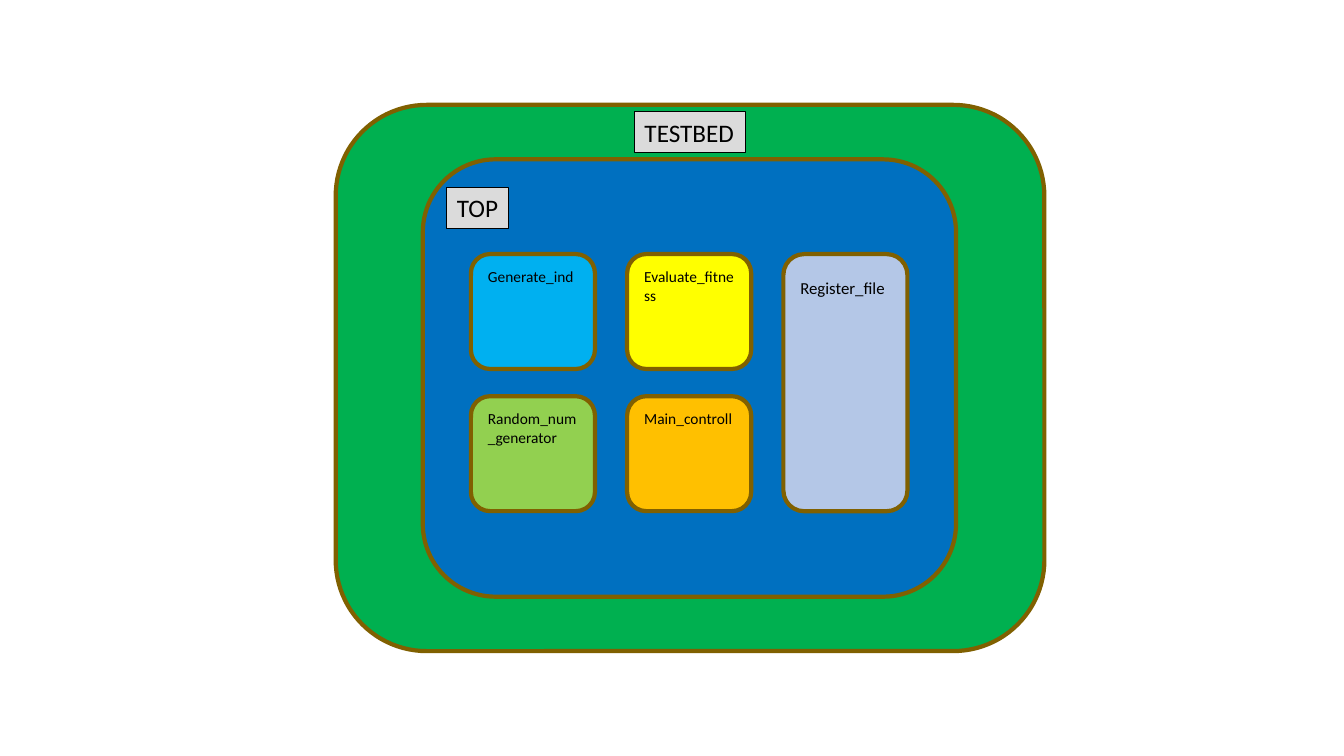
from pptx import Presentation
from pptx.dml.color import RGBColor
from pptx.enum.shapes import MSO_SHAPE
from pptx.enum.text import MSO_ANCHOR, MSO_AUTO_SIZE, PP_ALIGN
from pptx.util import Pt

RECT = MSO_SHAPE.RECTANGLE
ROUNDED = MSO_SHAPE.ROUNDED_RECTANGLE
TOP_ANCHOR = MSO_ANCHOR.TOP
FIT_SHAPE = MSO_AUTO_SIZE.SHAPE_TO_FIT_TEXT
LEFT = PP_ALIGN.LEFT

BORDER = "806000"
BLACK = "000000"
LABEL_GREY = "DBDBDB"

# Module grid inside the TOP block
MODULE_W, MODULE_H = 88.6, 82.1
COLUMN_PITCH, ROW_PITCH = 111.6, 101.55

# name, fill, column, row, rows spanned, label offset, label height, size
MODULES = [
    ("Generate_ind", "00B0F0", 0, 0, 1, 5.8, 15.8, 11),
    ("Random_num_generator", "92D050", 0, 1, 1, 5.8, 33.8, 11),
    ("Evaluate_fitness", "FFFF00", 1, 0, 1, 5.8, 33.8, 11),
    ("Main_controll", "FFC000", 1, 1, 1, 5.8, 20.9, 11),
    ("Register_file", "B4C7E7", 2, 0, 2, 13, 21.6, 12),
]


def color(hex_code):
    return RGBColor.from_string(hex_code)


def add_block(shapes, kind, box, fill, line=None, width=3):
    block = shapes.add_shape(kind, *(Pt(length) for length in box))
    block.shadow.inherit = False
    block.fill.solid()
    block.fill.fore_color.rgb = color(fill)
    if line:
        block.line.color.rgb = color(line)
        block.line.width = Pt(width)
    else:
        block.line.fill.background()
    return block


def write(block, text, size=18, wrap=True, ink=BLACK, font="Calibri"):
    frame = block.text_frame
    frame.word_wrap = wrap
    frame.auto_size = FIT_SHAPE
    frame.vertical_anchor = TOP_ANCHOR
    paragraph = frame.paragraphs[0]
    paragraph.alignment = LEFT
    run = paragraph.add_run()
    run.text = text
    run.font.size = Pt(size)
    run.font.name = font
    run.font.color.rgb = color(ink)


def add_title(shapes, text, box):
    title = add_block(shapes, RECT, box, LABEL_GREY, BLACK, 0.75)
    write(title, text, wrap=False)


def add_module(shapes, box, name, fill, label_offset, label_height, size):
    left, top, width, height = box
    module = shapes.add_group_shape().shapes
    add_block(module, ROUNDED, box, fill, BORDER)
    label_box = (left + 5, top + label_offset, width - 10, label_height)
    write(add_block(module, RECT, label_box, fill), name, size=size)


def add_modules(shapes, left, top):
    for name, fill, column, row, span, offset, height, size in MODULES:
        box = (left + column * COLUMN_PITCH, top + row * ROW_PITCH,
               MODULE_W, MODULE_H + (span - 1) * ROW_PITCH)
        add_module(shapes, box, name, fill, offset, height, size)


def add_testbed(shapes, left, top, width, height):
    # Nested blocks
    top_left, top_top = left + 62.2, top + 38.9
    add_block(shapes, ROUNDED, (left, top, width, height), "00B050", BORDER)
    top_box = (top_left, top_top, width - 125.3, height - 77.8)
    add_block(shapes, ROUNDED, top_box, "0070C0", BORDER)

    # Block titles
    add_title(shapes, "TESTBED",
              (left + (width - 79.2) / 2, top + 5, 79.2, 29))
    add_title(shapes, "TOP", (top_left + 17.3, top_top + 20.1, 44, 29))

    # Modules of the design
    add_modules(shapes, top_left + 34.4, top_top + 67.7)


def main():
    deck = Presentation()
    deck.slide_width, deck.slide_height = Pt(960), Pt(540)
    slide = deck.slides.add_slide(deck.slide_layouts[6])
    add_testbed(slide.shapes, 239.8, 74.9, 506.2, 390.2)
    deck.save("out.pptx")


if __name__ == "__main__":
    main()
